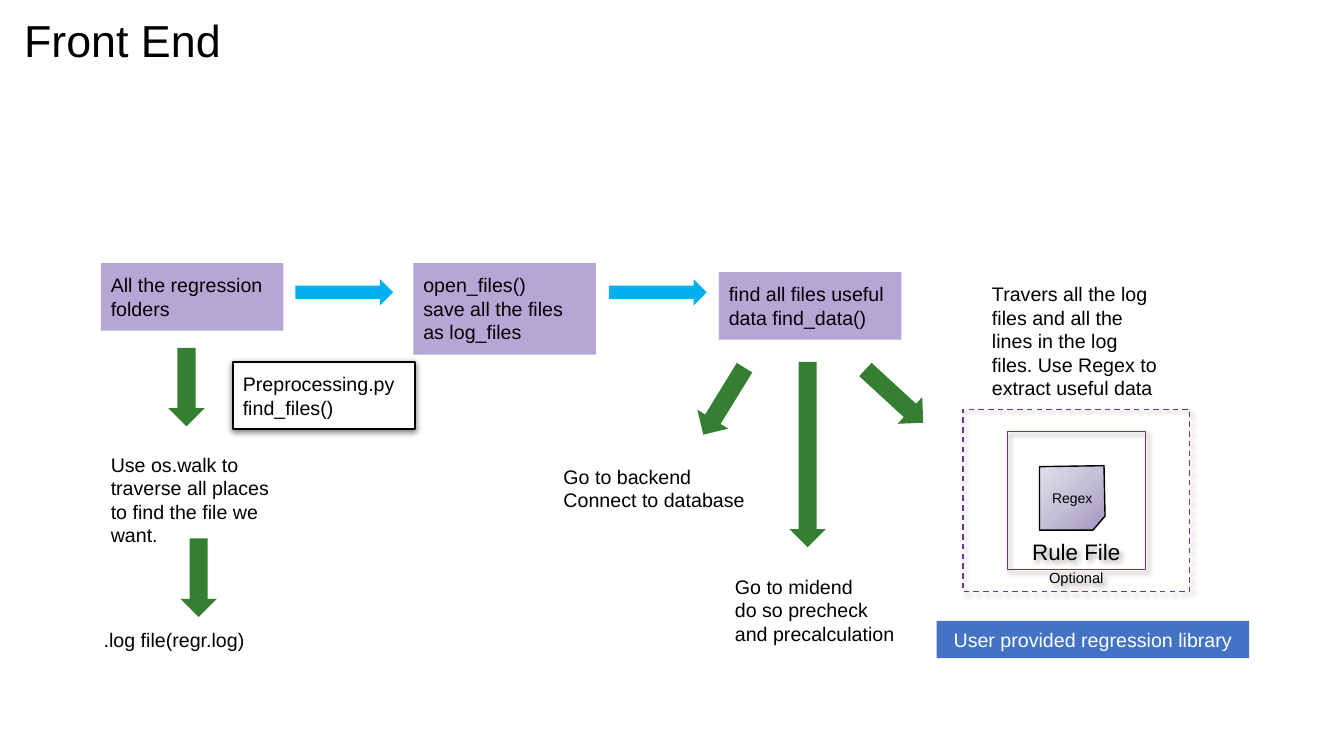
"""Build the Front End slide: a flow of regression log processing steps."""
from pptx import Presentation
from pptx.dml.color import RGBColor
from pptx.enum.dml import MSO_LINE
from pptx.enum.shapes import MSO_SHAPE as SHAPE
from pptx.enum.text import MSO_ANCHOR as ANCHOR, MSO_AUTO_SIZE as AUTO, PP_ALIGN as ALIGN
from pptx.oxml import parse_xml
from pptx.oxml.ns import nsdecls
from pptx.util import Inches, Pt

prs = Presentation()
prs.slide_width, prs.slide_height = Inches(13.33), Inches(7.5)
s = prs.slides.add_slide(prs.slide_layouts[6])


def style(sp, fill=None, line=None, width=1, shadow=None):
    """Set fill, outline and shadow (opacity, blur, distance, angle)."""
    for part, color in ((sp.fill, fill), (sp.line.fill, line)):
        if color:
            part.solid()
            part.fore_color.rgb = RGBColor.from_string(color)
        else:
            part.background()
    if line:
        sp.line.width = Pt(width)
    sp.shadow.inherit = False
    if shadow:
        opacity, blur, dist, angle = shadow
        sp._element.spPr.find("{*}effectLst").append(parse_xml(
            f'<a:outerShdw {nsdecls("a")} blurRad="{Pt(blur)}" dist="{Pt(dist)}" '
            f'dir="{angle * 60000}" algn="ctr" rotWithShape="0"><a:srgbClr val="000000">'
            f'<a:alpha val="{opacity * 1000}"/></a:srgbClr></a:outerShdw>'))


def write(sp, lines, size=14, color="000000", anchor=ANCHOR.TOP, align=ALIGN.LEFT, grow=True):
    """Fill a shape with one paragraph per line."""
    tf = sp.text_frame
    tf.word_wrap = True
    tf.auto_size = AUTO.SHAPE_TO_FIT_TEXT if grow else AUTO.NONE
    tf.vertical_anchor = anchor
    tf.margin_left = tf.margin_right = Inches(0.1)
    tf.margin_top = tf.margin_bottom = Inches(0.1 if grow else 0.05)
    for i, line in enumerate(lines):
        p = tf.paragraphs[0] if i == 0 else tf.add_paragraph()
        p.alignment = align
        r = p.add_run()
        r.text = line
        r.font.size, r.font.name = Pt(size), "Arial"
        r.font.color.rgb = RGBColor.from_string(color)


SOFT = (40, 4, 3, 45)
library = s.shapes.add_shape(SHAPE.RECTANGLE, Inches(9.29), Inches(6.16), Inches(3.1), Inches(0.37))
style(library, "4472C4")
write(library, ["User provided regression library"], 14, "FFFFFF", ANCHOR.MIDDLE, ALIGN.CENTER, False)

fb = s.shapes.build_freeform(1031, 463, scale=Inches(0.01))
fb.add_line_segments([(1031, 526), (1084, 526), (1096, 512), (1095, 462)])
page = fb.convert_to_shape()
style(page, line="000000")
write(page, ["Regex"], 10, "000000", ANCHOR.MIDDLE, ALIGN.CENTER, False)
stops = "".join(f'<a:gs pos="{pos * 1000}"><a:srgbClr val="{color}"/></a:gs>'
                for pos, color in ((0, "A295C1"), (50, "C5BFD7"), (100, "E3DFEB")))
spPr = page._element.spPr
spPr.replace(spPr.find("{*}noFill"), parse_xml(
    f'<a:gradFill {nsdecls("a")} rotWithShape="1"><a:gsLst>{stops}</a:gsLst>'
    '<a:path path="circle"><a:fillToRect l="100000" t="100000"/></a:path></a:gradFill>'))

frames = [
    (9.99, 4.28, 1.37, 1.37, "Rule File", 16, MSO_LINE.SOLID),
    (9.55, 4.06, 2.25, 1.81, "Optional", 10.5, MSO_LINE.DASH),
]
for x, y, w, h, label, size, dash in frames:
    sp = s.shapes.add_shape(SHAPE.RECTANGLE, Inches(x), Inches(y), Inches(w), Inches(h))
    style(sp, line="7030A0", shadow=SOFT)
    sp.line.dash_style = dash
    write(sp, [label], size, "000000", ANCHOR.BOTTOM, ALIGN.CENTER, False)

for x in (2.93, 6.04):
    sp = s.shapes.add_shape(SHAPE.RIGHT_ARROW, Inches(x), Inches(2.77), Inches(0.97), Inches(0.26))
    style(sp, "00B0F0")

green_arrows = [
    (1.67, 3.45, 0.78, 180),
    (1.79, 5.34, 0.78, 180),
    (7, 3.59, 0.78, 211.6),
    (7.83, 3.59, 1.84, 180),
    (8.69, 3.54, 0.78, 132.6),
]
for x, y, h, angle in green_arrows:
    sp = s.shapes.add_shape(SHAPE.UP_ARROW, Inches(x), Inches(y), Inches(0.36), Inches(h))
    sp.rotation = angle
    style(sp, "347F31")

steps = [
    (1, 2.61, 0.67, ["All the regression folders"]),
    (4.1, 2.61, 0.91, ["open_files()", "save all the files as log_files"]),
    (7.13, 2.7, 0.67, ["find all files useful data find_data()"]),
]
for x, y, h, lines in steps:
    sp = s.shapes.add_shape(SHAPE.RECTANGLE, Inches(x), Inches(y), Inches(1.81), Inches(h))
    style(sp, "B4A7D6")
    write(sp, lines)

script = s.shapes.add_shape(SHAPE.RECTANGLE, Inches(2.31), Inches(3.59), Inches(1.81), Inches(0.67))
style(script, "FFFFFF", "000000", 1.5, (50, 4.5, 1.5, 90))
write(script, ["Preprocessing.py", "find_files()"])

notes = [
    (0.14, 0.03, 3.28, 0.74, 32, ["Front End"]),
    (1, 4.39, 1.81, 1.14, 14, ["Use os.walk to traverse all places to find the file we want."]),
    (0.93, 6.13, 1.96, 0.44, 14, [".log file(regr.log)"]),
    (5.49, 4.51, 2.25, 0.67, 14, ["Go to backend", "Connect to database"]),
    (7.19, 5.6, 1.81, 0.91, 14, ["Go to midend", "do so precheck and precalculation"]),
    (9.74, 2.7, 1.88, 1.38, 14, ["Travers all the log files and all the lines in the log files. "
                                 "Use Regex to extract useful data"]),
]
for x, y, w, h, size, lines in notes:
    sp = s.shapes.add_textbox(Inches(x), Inches(y), Inches(w), Inches(h))
    write(sp, lines, size)

prs.save("out.pptx")
